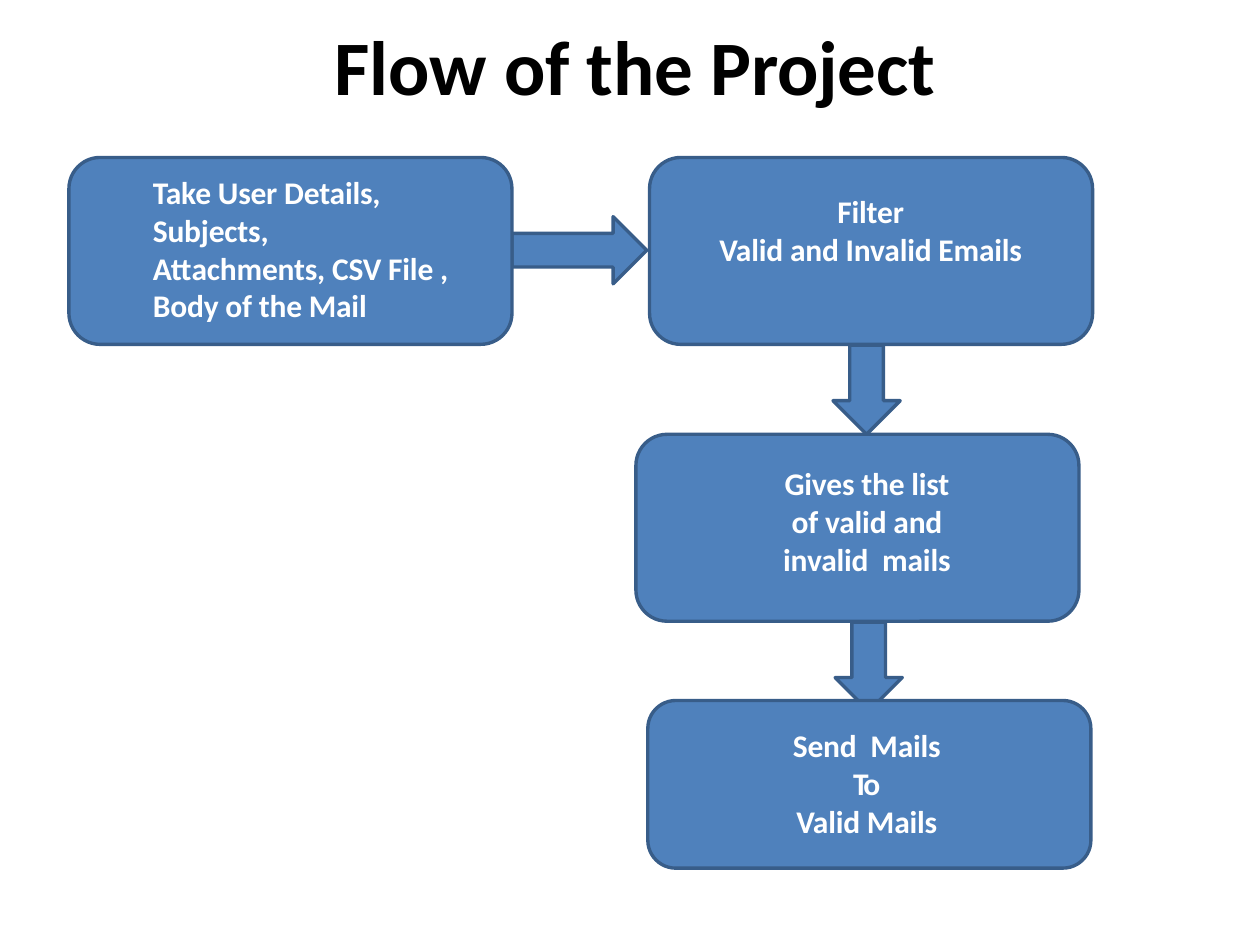
from typing import NamedTuple

from pptx import Presentation
from pptx.dml.color import RGBColor
from pptx.enum.shapes import MSO_SHAPE
from pptx.enum.text import MSO_ANCHOR, MSO_AUTO_SIZE, PP_ALIGN
from pptx.slide import Slide
from pptx.text.text import TextFrame
from pptx.util import Pt

BLACK = RGBColor(0x00, 0x00, 0x00)
WHITE = RGBColor(0xFF, 0xFF, 0xFF)
BLUE = RGBColor(0x4F, 0x81, 0xBC)
DARK_BLUE = RGBColor(0x38, 0x5D, 0x89)

TITLE_FONT = {"name": "Calibri", "size": Pt(44), "bold": True}
STEP_FONT = {"name": "Calibri", "size": Pt(18), "bold": True}
FRAME_FORMAT = {
    "margin_left": 0,
    "margin_top": Pt(0.96),
    "margin_right": 0,
    "margin_bottom": 0,
    "vertical_anchor": MSO_ANCHOR.TOP,
    "auto_size": MSO_AUTO_SIZE.NONE,
}
TIGHT = -10
VERY_TIGHT = -150
STEP_WIDTH = 253.2
ARROW_LENGTH = 77
ARROW_BREADTH = 38.4


class Area(NamedTuple):
    left: float
    top: float
    width: float
    height: float


class Step(NamedTuple):
    box: Area
    label: Area
    lines: list[str]
    alignment: PP_ALIGN = PP_ALIGN.CENTER


class Arrow(NamedTuple):
    kind: MSO_SHAPE
    area: Area


STEPS = [
    Step(
        Area(39.4, 90, STEP_WIDTH, 106.8),
        Area(87.4, 97.9, 172.8, 88.6),
        ["Take User Details,", "Subjects,", "Attachments, CSV File ,  Body of the Mail"],
        PP_ALIGN.LEFT,
    ),
    Step(
        Area(371.2, 90, STEP_WIDTH, 106.8),
        Area(409, 108.7, 177.1, 45.4),
        ["Filter", "Valid and Invalid Emails"],
    ),
    Step(
        Area(363.4, 248.2, STEP_WIDTH, 106.8),
        Area(445, 264.2, 100.8, 66.2),
        ["Gives the list of valid and invalid  mails"],
    ),
    Step(
        Area(370.2, 400.3, STEP_WIDTH, 95.8),
        Area(421.9, 414, 146.9, 67),
        ["Send  Mails", "To", "Valid Mails"],
    ),
]
ARROWS = [
    Arrow(MSO_SHAPE.RIGHT_ARROW, Area(292.6, 123.8, ARROW_LENGTH, ARROW_BREADTH)),
    Arrow(MSO_SHAPE.DOWN_ARROW, Area(476, 197.3, ARROW_BREADTH, 50.9)),
    Arrow(MSO_SHAPE.DOWN_ARROW, Area(477.2, 355.5, ARROW_BREADTH, 50.9)),
]


def in_points(area: Area) -> list[Pt]:
    return [Pt(length) for length in area]


def write_text(
    frame: TextFrame,
    lines: list[str],
    font_format: dict,
    color: RGBColor,
    alignment: PP_ALIGN,
    wrap: bool,
) -> None:
    for name, value in FRAME_FORMAT.items():
        setattr(frame, name, value)
    frame.word_wrap = wrap
    for index, line in enumerate(lines):
        paragraph = frame.paragraphs[0] if index == 0 else frame.add_paragraph()
        paragraph.alignment = alignment
        paragraph.space_before = Pt(0)
        run = paragraph.add_run()
        run.text = line
        for name, value in font_format.items():
            setattr(run.font, name, value)
        run.font.color.rgb = color
        spacing = VERY_TIGHT if line == "To" else TIGHT
        run._r.get_or_add_rPr().set("spc", str(spacing))


def draw_shape(slide: Slide, kind: MSO_SHAPE, area: Area) -> None:
    shape = slide.shapes.add_shape(kind, *in_points(area))
    shape.shadow.inherit = False
    shape.fill.solid()
    shape.fill.fore_color.rgb = BLUE
    shape.line.color.rgb = DARK_BLUE
    shape.line.width = Pt(1.92)


def draw_step(slide: Slide, step: Step) -> None:
    draw_shape(slide, MSO_SHAPE.ROUNDED_RECTANGLE, step.box)
    label = slide.shapes.add_textbox(*in_points(step.label))
    write_text(label.text_frame, step.lines, STEP_FONT, WHITE, step.alignment, True)


def main() -> None:
    presentation = Presentation()
    presentation.slide_width = Pt(720)
    presentation.slide_height = Pt(540)
    slide = presentation.slides.add_slide(presentation.slide_layouts[5])

    title = slide.shapes.title
    title.left, title.top, title.width, title.height = in_points(
        Area(189.4, 9.4, 347, 54.7)
    )
    write_text(
        title.text_frame, ["Flow of the Project"], TITLE_FONT, BLACK, PP_ALIGN.CENTER, False
    )

    for arrow in ARROWS:
        draw_shape(slide, arrow.kind, arrow.area)
    for step in STEPS:
        draw_step(slide, step)

    presentation.save("out.pptx")


if __name__ == "__main__":
    main()
